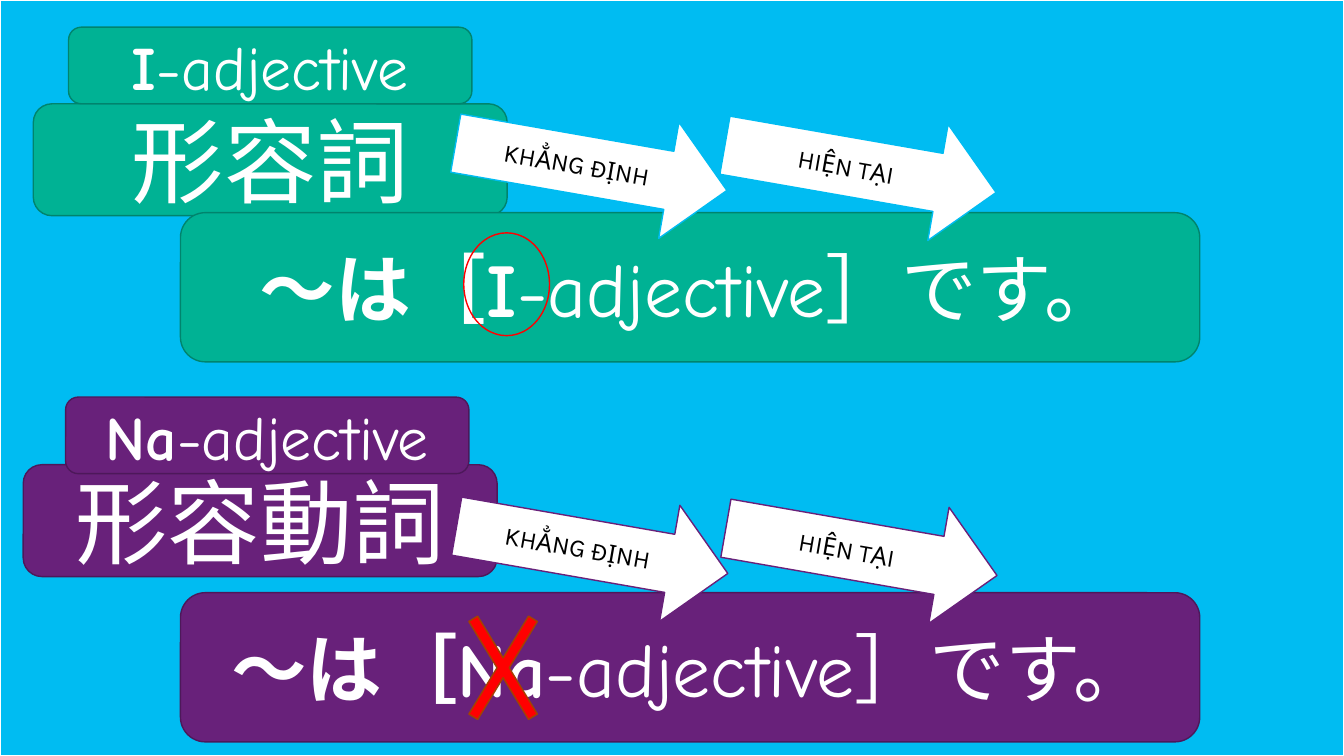
from dataclasses import dataclass

from lxml.etree import SubElement
from pptx import Presentation
from pptx.dml.color import RGBColor
from pptx.enum.shapes import MSO_SHAPE as Preset
from pptx.enum.text import MSO_ANCHOR, PP_ALIGN
from pptx.oxml.ns import qn
from pptx.util import Inches, Pt

COLORS = {
    "sky": "00BCF2", "white": "FFFFFF", "black": "000000", "red": "FF0000",
    "green": "00B294", "dark_green": "00846D",
    "purple": "68217A", "dark_purple": "4D185A", "brown": "A34200",
}
LATIN_FONT, ARROW_FONT, JAPANESE_FONT = "Comic Neue", "Karla", "Noto Sans CJK JP"
SLIDE_WIDTH, SLIDE_HEIGHT = Inches(13.33), Inches(7.5)

# Sizes and steps are percentages of the slide's width and height.
KANJI_SIZE = (35.26, 14.8)
SENTENCE_SIZE = (75.84, 19.73)
LABEL_SIZE = (30.01, 10.13)
ARROW_SIZE = (20.48, 15.6)
ARROW_STEP = (20.03, 0.27)
ARROW_TEXTS = ("KHẲNG ĐỊNH", "HIỆN TẠI")
ARROW_TILT = 9.9


@dataclass
class AdjectiveKind:
    """Wording, colours and top-left corners of one half of the slide."""
    prefix: str
    kanji: str
    fill: str
    outline: str
    arrow_outline: str
    kanji_at: tuple
    sentence_at: tuple
    arrows_at: tuple
    label_at: tuple


I_ADJECTIVE = AdjectiveKind(
    "I", "形容詞", "green", "dark_green", "sky",
    (2.48, 13.73), (13.43, 28.13), (33.76, 14.27), (5.1, 3.6))
NA_ADJECTIVE = AdjectiveKind(
    "Na", "形容動詞", "purple", "dark_purple", "purple",
    (1.73, 61.47), (13.43, 78.4), (33.83, 64.93), (4.88, 52.53))


def color(name):
    return RGBColor.from_string(COLORS[name])


def add_preset(slide, preset, corner, size, fill, outline, line_width=1):
    """Add a shape placed in slide percentages; a fill of None leaves it open."""
    left, top = (int(SLIDE_WIDTH * corner[0] / 100), int(SLIDE_HEIGHT * corner[1] / 100))
    width, height = (int(SLIDE_WIDTH * size[0] / 100), int(SLIDE_HEIGHT * size[1] / 100))
    shape = slide.shapes.add_shape(preset, left, top, width, height)
    shape.shadow.inherit = False
    if fill is None:
        shape.fill.background()
    else:
        shape.fill.solid()
        shape.fill.fore_color.rgb = color(fill)
    shape.line.color.rgb = color(outline)
    shape.line.width = Pt(line_width)
    return shape


def write_centered(shape, text_parts, size, font_name, font_color="white"):
    """Write (text, bold) parts as one centred line."""
    frame = shape.text_frame
    frame.word_wrap = True
    frame.vertical_anchor = MSO_ANCHOR.MIDDLE
    paragraph = frame.paragraphs[0]
    paragraph.alignment = PP_ALIGN.CENTER
    for text, bold in text_parts:
        run = paragraph.add_run()
        run.text = text
        run.font.size = Pt(size)
        run.font.bold = bold
        run.font.name = font_name
        run.font.color.rgb = color(font_color)
        SubElement(run.font._element, qn("a:ea"), typeface=JAPANESE_FONT)


def add_panel(slide, kind, corner, size, text_parts, text_size, font_name=LATIN_FONT):
    panel = add_preset(slide, Preset.ROUNDED_RECTANGLE, corner, size, kind.fill, kind.outline)
    write_centered(panel, text_parts, text_size, font_name)


def add_arrows(slide, kind):
    for index, text in enumerate(ARROW_TEXTS):
        corner = [start + index * step for start, step in zip(kind.arrows_at, ARROW_STEP)]
        arrow = add_preset(slide, Preset.RIGHT_ARROW, corner, ARROW_SIZE,
                           "white", kind.arrow_outline)
        arrow.rotation = ARROW_TILT
        write_centered(arrow, [(text, False)], 18, ARROW_FONT, "black")


def add_kept_mark(slide):
    add_preset(slide, Preset.OVAL, (34.51, 30.8), (6.38, 13.6), None, "red")


def add_dropped_mark(slide):
    cross = add_preset(slide, Preset.MATH_MULTIPLY, (33.16, 75.87), (8.55, 24.93),
                       "red", "brown")
    cross.adjustments[0] = 0.09


def add_adjective_kind(slide, kind, add_mark):
    add_panel(slide, kind, kind.kanji_at, KANJI_SIZE, [(kind.kanji, False)], 66, JAPANESE_FONT)
    add_panel(slide, kind, kind.sentence_at, SENTENCE_SIZE,
              [(f"～は［{kind.prefix}", True), ("-adjective］です。", False)], 54)
    add_mark(slide)
    add_arrows(slide, kind)
    add_panel(slide, kind, kind.label_at, LABEL_SIZE,
              [(kind.prefix, True), ("-adjective", False)], 44)


def main():
    presentation = Presentation()
    presentation.slide_width, presentation.slide_height = SLIDE_WIDTH, SLIDE_HEIGHT
    slide = presentation.slides.add_slide(presentation.slide_layouts[6])
    add_preset(slide, Preset.RECTANGLE, (0, 0), (100, 100), "sky", "white", 1.5)
    add_adjective_kind(slide, I_ADJECTIVE, add_kept_mark)
    add_adjective_kind(slide, NA_ADJECTIVE, add_dropped_mark)
    presentation.save("out.pptx")


if __name__ == "__main__":
    main()
